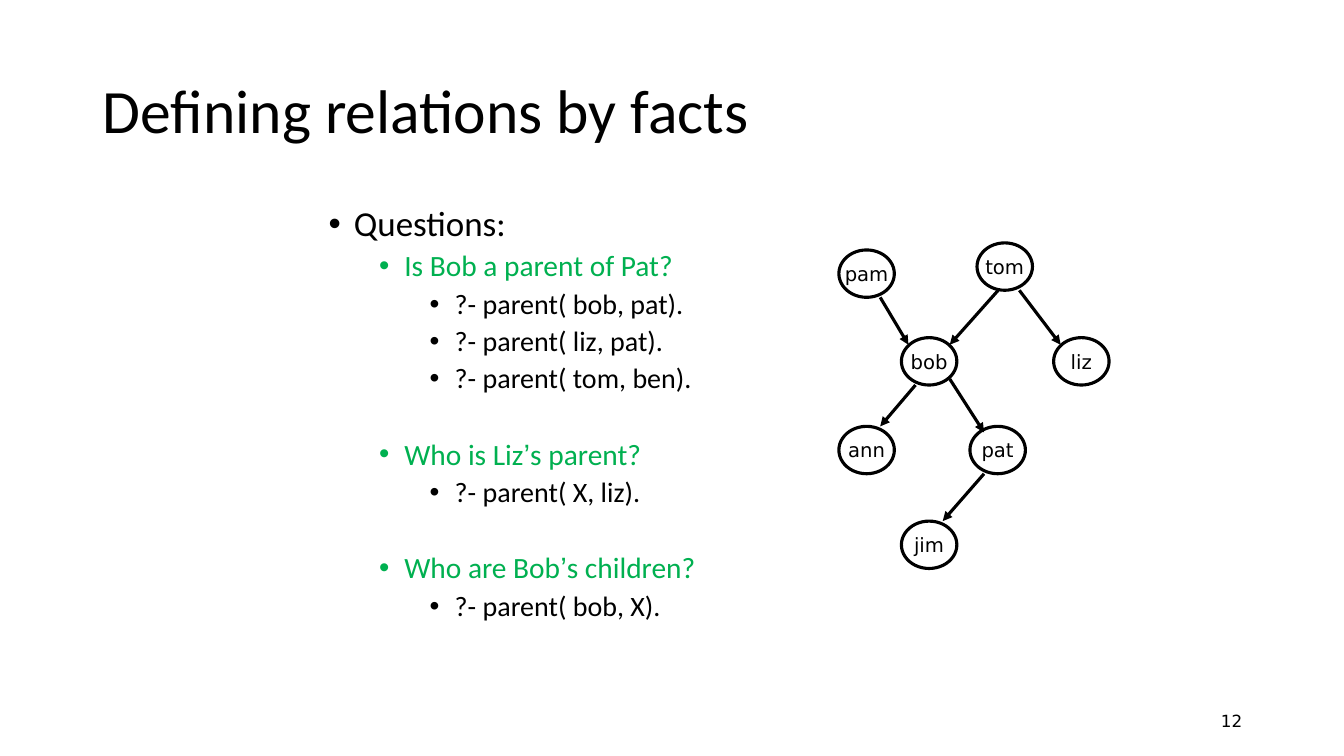
from lxml import etree
from pptx import Presentation
from pptx import util as u
from pptx.dml.color import RGBColor
from pptx.enum import shapes, text
from pptx.oxml.ns import qn

PX = 9144  # 100 px to the inch
BLACK, WHITE, GREEN = "000000", "FFFFFF", "00B050"
SANS, BODY = "DejaVu Sans", "Calibri"

# Per list level: size, colour, space before
LEVELS = [(25, BLACK, 10), (21, GREEN, 5), (20, BLACK, 5)]
GAP = 32  # space before a new group of questions

# Level, wording, starts a new group
ITEMS = [
    (0, "Questions:", False),
    (1, "Is Bob a parent of Pat?", False),
    (2, "?- parent( bob, pat).", False),
    (2, "?- parent( liz, pat).", False),
    (2, "?- parent( tom, ben).", False),
    (1, "Who is Liz’s parent?", True),
    (2, "?- parent( X, liz).", False),
    (1, "Who are Bob’s children?", True),
    (2, "?- parent( bob, X).", False),
]

# Left and top of each person in the family tree
NODES = {
    "pam": (832, 248), "liz": (1045, 335), "bob": (894, 335),
    "jim": (894, 517), "pat": (962, 423), "ann": (832, 423),
    "tom": (969, 241),
}
# Arrows from parent to child: x1, y1, x2, y2
EDGES = [
    (873, 295, 901, 342), (990, 288, 942, 342), (1011, 288, 1052, 342),
    (908, 382, 873, 423), (942, 376, 976, 429), (976, 470, 935, 517),
]


def px(*vals):
    return [u.Emu(v * PX) for v in vals]


def color(code):
    return RGBColor.from_string(code)


def apply(obj, form):
    for name, val in form.items():
        setattr(obj, name, val)


def place(shape, *box):
    apply(shape, dict(zip(("left", "top", "width", "height"), px(*box))))


def add_run(para, words, size, font=BODY, tint=BLACK):
    run = para.add_run()
    run.text = words
    apply(run.font, {"size": u.Pt(size), "name": font})
    run.font.color.rgb = color(tint)


def stroke(line):
    line.color.rgb = color(BLACK)
    line.width = u.Pt(2.25)


def add_title(slide, words):
    title = slide.shapes.title
    place(title, 92, 40, 1150, 145)
    frame = title.text_frame
    apply(frame, {"vertical_anchor": text.MSO_ANCHOR.MIDDLE,
                  "auto_size": text.MSO_AUTO_SIZE.NONE})
    para = frame.paragraphs[0]
    apply(para, {"alignment": text.PP_ALIGN.LEFT, "line_spacing": 0.9})
    add_run(para, words, 44)


def add_bullet(para, level):
    props = para._p.get_or_add_pPr()
    indent = px(25 + 50 * level, -25)
    for name, val in zip(("marL", "indent"), indent):
        props.set(name, str(val))
    etree.SubElement(props, qn("a:buFont")).set("typeface", "Arial")
    etree.SubElement(props, qn("a:buChar")).set("char", "•")


def add_list(slide):
    body = slide.placeholders[1]
    place(body, 316, 200, 775, 514)
    frame = body.text_frame
    frame.auto_size = text.MSO_AUTO_SIZE.NONE
    for i, (level, words, fresh) in enumerate(ITEMS):
        para = frame.add_paragraph() if i else frame.paragraphs[0]
        size, tint, before = LEVELS[level]
        apply(para, {"level": level, "line_spacing": 0.9,
                     "space_before": u.Pt(GAP if fresh else before),
                     "space_after": u.Pt(0)})
        add_bullet(para, level)
        # The apostrophe has its own font
        for part in words.partition("’"):
            if part:
                add_run(para, part, size, "Arial" if part == "’" else BODY, tint)


def add_node(group, name, left, top):
    node = group.shapes.add_shape(shapes.MSO_SHAPE.OVAL, *px(left, top, 55, 47))
    node.shadow.inherit = False
    node.fill.solid()
    node.fill.fore_color.rgb = color(WHITE)
    stroke(node.line)
    frame = node.text_frame
    apply(frame, {"word_wrap": False, "vertical_anchor": text.MSO_ANCHOR.MIDDLE})
    para = frame.paragraphs[0]
    para.alignment = text.PP_ALIGN.CENTER
    add_run(para, name, 14, SANS)


def add_arrow(group, *ends):
    arrow = group.shapes.add_connector(shapes.MSO_CONNECTOR.STRAIGHT, *px(*ends))
    stroke(arrow.line)
    props = arrow._element.spPr
    etree.SubElement(props.find(qn("a:ln")), qn("a:tailEnd")).set("type", "triangle")
    etree.SubElement(props, qn("a:effectLst"))


def add_number(slide, number):
    box = slide.shapes.add_textbox(*px(942, 695, 300, 40))
    frame = box.text_frame
    apply(frame, {"word_wrap": True, "vertical_anchor": text.MSO_ANCHOR.MIDDLE})
    para = frame.paragraphs[0]
    para.alignment = text.PP_ALIGN.RIGHT
    add_run(para, number, 12, SANS)


def main():
    deck = Presentation()
    apply(deck, dict(zip(("slide_width", "slide_height"), px(1333, 750))))
    slide = deck.slides.add_slide(deck.slide_layouts[1])

    # Title, questions and slide number
    add_title(slide, "Defining relations by facts")
    add_list(slide)
    add_number(slide, "12")

    # Family tree
    tree = slide.shapes.add_group_shape()
    for name, spot in NODES.items():
        add_node(tree, name, *spot)
    for ends in EDGES:
        add_arrow(tree, *ends)

    deck.save("out.pptx")


if __name__ == "__main__":
    main()
